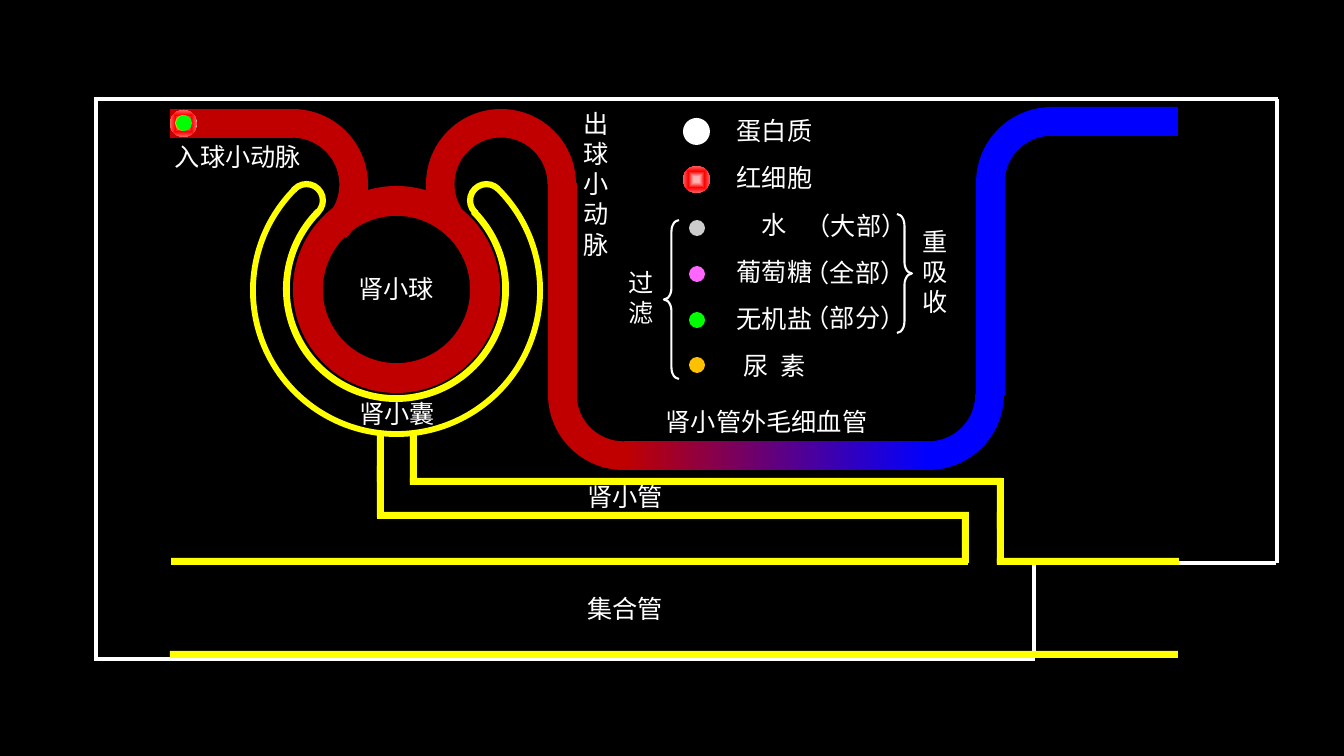
"""Build a slide on how a nephron filters blood and reabsorbs useful substances."""
import lxml.etree
import pptx
import pptx.dml.color
import pptx.enum.dml
import pptx.enum.shapes
import pptx.enum.text
import pptx.oxml
import pptx.oxml.ns
import pptx.util

PX = 914400 / 100.8
SHAPES = pptx.enum.shapes.MSO_SHAPE
FONT = "Noto Sans CJK SC"
RED, BLUE, YELLOW, WHITE = "C00000", "0000FF", "FFFF00", "FFFFFF"
CELL = "red cell"
CELL_STOPS = [(0, "FFB3B3"), (21, "FFB3B3"), (60, "FF0000"), (100, "FF5F5F")]


def paint(fill, colour):
    """Fill solidly with a hex colour."""
    fill.solid()
    fill.fore_color.rgb = pptx.dml.color.RGBColor.from_string(colour)


def add_part(kind, left, top, width, height, colour):
    """Add a borderless preset shape measured in px."""
    part = page.shapes.add_shape(kind, *(round(n * PX) for n in (left, top, width, height)))
    part.shadow.inherit = False
    part.line.fill.background()
    paint(part.fill, colour)
    return part


deck = pptx.Presentation()
deck.slide_width = round(1344 * PX)
deck.slide_height = round(756 * PX)
page = deck.slides.add_slide(deck.slide_layouts[6])
paint(page.background.fill, "000000")

frame_lines = [
    (94, 99, 1278, 99), (96, 661, 96, 101), (95, 659, 1035, 659),
    (1034, 563, 1034, 658), (1034, 563, 1276, 563), (1277, 563, 1277, 99),
]
for ends in frame_lines:
    line = page.shapes.add_connector(
        pptx.enum.shapes.MSO_CONNECTOR.STRAIGHT, *(round(n * PX) for n in ends))
    paint(line.line.fill, WHITE)
    line.line.width = pptx.util.Pt(3)
    lxml.etree.SubElement(line._element.spPr, pptx.oxml.ns.qn("a:effectLst"))

glomerulus = add_part(SHAPES.DONUT, 293, 186, 207, 207, RED)
glomerulus.adjustments[0] = 0.144

vessel_bend = (161.88, 0.33, 0.19)
capsule_cap = (54.02, 166.36, 0.16)
arcs = [
    (426, 109, 150, 135, True, (81.15, 0.33, 0.19), RED),
    (217, 109, 151, 45, False, (134.89, 0.33, 0.19), RED),
    (548, 319, 151, 90, True, vessel_bend, RED),
    (283, 176, 226, 315, True, (54.02, 0.03, 0.03), YELLOW),
    (250, 144, 293, 315, True, (54.05, 0.18, 0.02), YELLOW),
    (467, 181, 39, 45, True, capsule_cap, YELLOW),
    (287, 181, 39, 135, True, capsule_cap, YELLOW),
    (853, 319, 151, 0, True, vessel_bend, BLUE),
    (976, 107, 151, 180, True, vessel_bend, BLUE),
]
for left, top, size, turn, flipped, adjustments, colour in arcs:
    arc = add_part(SHAPES.BLOCK_ARC, left, top, size, size, colour)
    for index, value in enumerate(adjustments):
        arc.adjustments[index] = value
    arc.rotation = turn
    if flipped:
        arc._element.spPr.xfrm.set("flipV", "1")

vessels = [
    (170, 109, 123, 29, RED), (548, 183, 29, 214, RED),
    (976, 182, 29, 214, BLUE), (1050, 107, 128, 29, BLUE),
]
tubule_uprights = [(410, 431), (377, 431), (377, 466), (962, 512), (997, 478), (997, 512)]
tubule_levels = [(410, 478, 592), (377, 512, 592), (171, 558, 797), (997, 558, 182), (170, 651, 1008)]
bars = vessels + [(left, top, 7, 51, YELLOW) for left, top in tubule_uprights]
bars += [(left, top, width, 7, YELLOW) for left, top, width in tubule_levels]
for bar in bars:
    add_part(SHAPES.RECTANGLE, *bar)

capillary = add_part(SHAPES.RECTANGLE, 624, 441, 305, 29, RED)
capillary.fill.gradient()
capillary.fill.gradient_angle = 0
for stop, colour in zip(capillary.fill.gradient_stops, (RED, BLUE)):
    stop.color.rgb = pptx.dml.color.RGBColor.from_string(colour)

dots = [
    (170, 110, 27, WHITE), (170, 110, 27, CELL),
    (175, 115, 16, "FFC000"), (176, 115, 16, "00FF00"),
    (683, 118, 27, WHITE), (683, 166, 27, CELL),
    (689, 220, 16, "CCCCCC"), (689, 266, 16, "FF66FF"),
    (689, 312, 16, "00FF00"), (689, 357, 16, "FFC000"),
]
for left, top, size, colour in dots:
    dot = add_part(SHAPES.OVAL, left, top, size, size, WHITE if colour == CELL else colour)
    if colour == CELL:
        stops = "".join(
            f'<a:gs pos="{pos * 1000}"><a:srgbClr val="{tone}"/></a:gs>' for pos, tone in CELL_STOPS)
        gradient = pptx.oxml.parse_xml(
            f'<a:gradFill {pptx.oxml.ns.nsdecls("a")} rotWithShape="1"><a:gsLst>{stops}</a:gsLst>'
            '<a:path path="shape"><a:fillToRect l="50000" t="50000" r="50000" b="50000"/></a:path>'
            '</a:gradFill>')
        solid = dot._element.spPr.find(pptx.oxml.ns.qn("a:solidFill"))
        dot._element.spPr.replace(solid, gradient)

for left, top, height, flipped in [(897, 214, 119, False), (664, 220, 159, True)]:
    brace = add_part(SHAPES.RIGHT_BRACE, left, top, 15, height, WHITE)
    brace.fill.background()
    paint(brace.line.fill, WHITE)
    brace.line.width = pptx.util.Pt(1.5)
    brace.adjustments[0] = 0.77
    brace.adjustments[1] = 0.5
    if flipped:
        brace._element.spPr.xfrm.set("flipH", "1")

labels = [
    ("肾小管", 572, 476, 106, 40), ("肾小囊", 344, 393, 106, 40),
    ("肾小球", 344, 268, 104, 40), ("入球小动脉", 163, 136, 150, 40),
    ("出球小动脉", 570, 103, 52, 163), ("肾小管外毛细血管", 646, 401, 241, 40),
    ("集合管", 572, 588, 106, 40), ("过滤", 619, 262, 44, 72),
    ("重吸收", 913, 221, 43, 102), ("（大部）", 794, 205, 124, 40),
    ("（全部）", 793, 252, 124, 40), ("（部分）", 793, 297, 124, 40),
]
substances = ["蛋白质", "红细胞", "水", "葡萄糖", "无机盐", "尿 素"]
labels += [(name, 726, 110 + 47 * row, 97, 40) for row, name in enumerate(substances)]
for words, left, top, width, height in labels:
    box = page.shapes.add_textbox(*(round(n * PX) for n in (left, top, width, height)))
    box.text_frame.word_wrap = words not in substances
    box.text_frame.auto_size = pptx.enum.text.MSO_AUTO_SIZE.SHAPE_TO_FIT_TEXT
    para = box.text_frame.paragraphs[0]
    para.alignment = pptx.enum.text.PP_ALIGN.CENTER
    span = para.add_run()
    span.text = words
    span.font.size = pptx.util.Pt(18)
    span.font.name = FONT
    paint(span.font.fill, WHITE)
    properties = span._r.get_or_add_rPr()
    lxml.etree.SubElement(properties, pptx.oxml.ns.qn("a:ea"), typeface=FONT)
    if " " in words:
        properties.set("spc", "200")

deck.save("out.pptx")
